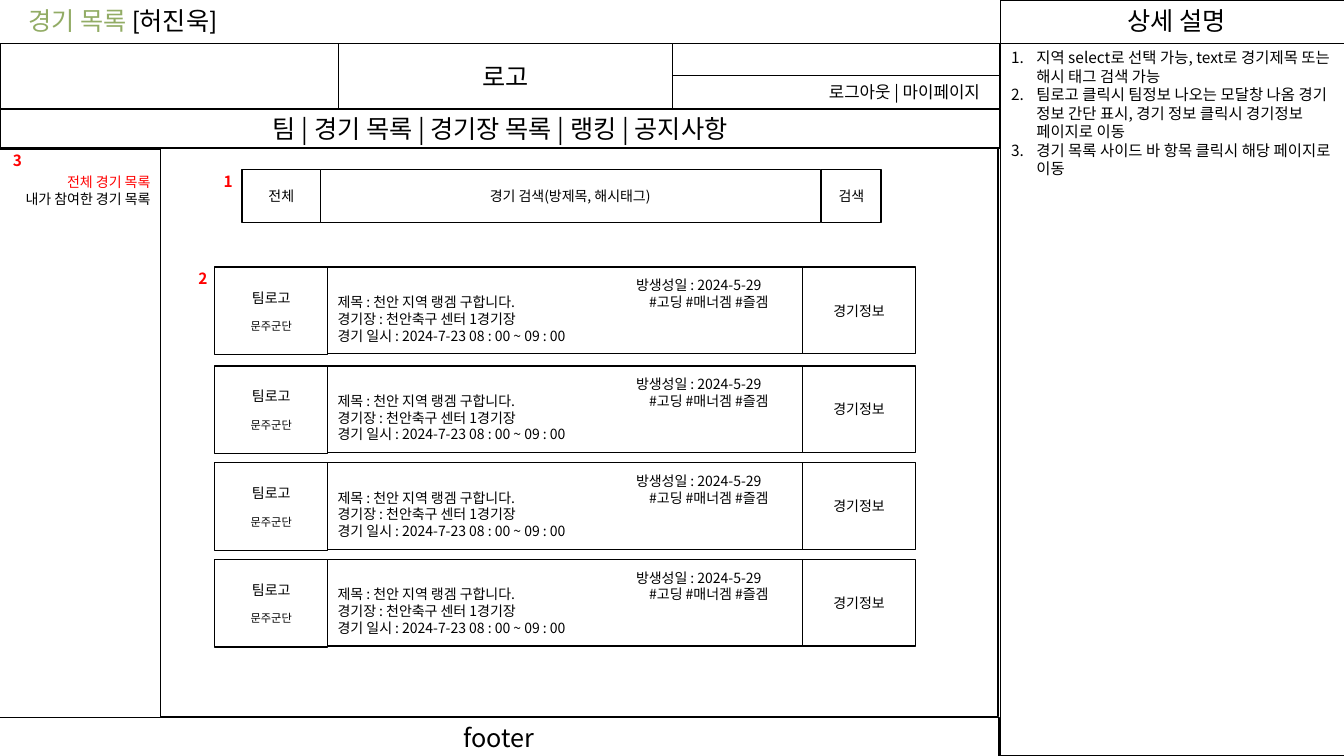
import dataclasses

import lxml.etree
import pptx
import pptx.dml.color
import pptx.enum.shapes
import pptx.enum.text
import pptx.oxml.ns
import pptx.util

Inches = pptx.util.Inches
Pt = pptx.util.Pt
ALIGN = pptx.enum.text.PP_ALIGN
ANCHOR = pptx.enum.text.MSO_ANCHOR


@dataclasses.dataclass(frozen=True)
class Theme:
    font: str = "Noto Sans CJK KR"
    name_font: str = "Lato"
    black: str = "000000"
    white: str = "FFFFFF"
    red: str = "FF0000"
    green: str = "92AC65"
    heading: int = 18
    menu: int = 12
    note: int = 11
    body: int = 10
    small: int = 8
    leading: float = 1.2
    border: int = 1


THEME = Theme()


@dataclasses.dataclass
class Line:
    """One paragraph; ending is a closing run in the name font, tab a stop in inches."""
    text: str
    size: int = THEME.body
    color: str = THEME.black
    bold: bool = False
    align: int = ALIGN.CENTER
    before: float = 0
    tab: float = 0
    numbered: bool = False
    ending: str = ""


class Wireframe:
    def __init__(self, slide, theme):
        self.slide = slide
        self.theme = theme

    def color(self, value):
        return pptx.dml.color.RGBColor.from_string(value)

    def add_run(self, paragraph, text, line, latin, color):
        run = paragraph.add_run()
        run.text = text
        values = {"name": latin, "size": Pt(line.size), "bold": line.bold}
        for name, value in values.items():
            setattr(run.font, name, value)
        run.font.color.rgb = self.color(color)
        east_asian = lxml.etree.SubElement(run.font._element, pptx.oxml.ns.qn("a:ea"))
        east_asian.set("typeface", self.theme.font)

    def add_marks(self, paragraph, line):
        """Adds the number and the tab stop of a paragraph."""
        properties = paragraph._p.get_or_add_pPr()
        qn = pptx.oxml.ns.qn
        if line.numbered:
            properties.set("marL", str(Inches(0.25)))
            properties.set("indent", str(Inches(-0.25)))
            lxml.etree.SubElement(properties, qn("a:buAutoNum"), type="arabicPeriod")
        if line.tab:
            stops = lxml.etree.SubElement(properties, qn("a:tabLst"))
            lxml.etree.SubElement(stops, qn("a:tab"), pos=str(Inches(line.tab)), algn="l")

    def fill_text(self, frame, lines, **frame_format):
        for name, value in {"word_wrap": True, **frame_format}.items():
            setattr(frame, name, value)
        for index, line in enumerate(lines):
            paragraph = frame.add_paragraph() if index else frame.paragraphs[0]
            self.add_marks(paragraph, line)
            paragraph_format = {
                "alignment": line.align,
                "line_spacing": Pt(line.size * self.theme.leading),
            }
            if line.before:
                paragraph_format["space_before"] = Pt(line.before)
            for name, value in paragraph_format.items():
                setattr(paragraph, name, value)
            self.add_run(paragraph, line.text, line, self.theme.font, line.color)
            if line.ending:
                self.add_run(paragraph, line.ending, line, self.theme.name_font, self.theme.black)

    def box(self, at, *lines, **frame_format):
        area = self.slide.shapes.add_shape(
            pptx.enum.shapes.MSO_SHAPE.RECTANGLE, *map(Inches, at))
        area.shadow.inherit = False
        area.fill.solid()
        area.fill.fore_color.rgb = self.color(self.theme.white)
        area.line.color.rgb = self.color(self.theme.black)
        area.line.width = Pt(self.theme.border)
        if lines:
            self.fill_text(area.text_frame, lines,
                           **{"vertical_anchor": ANCHOR.MIDDLE, **frame_format})

    def label(self, at, *lines, **frame_format):
        text_box = self.slide.shapes.add_textbox(*map(Inches, at))
        self.fill_text(text_box.text_frame, lines, **frame_format)

    def marker(self, left, top, number):
        self.label((left, top, 0.38, 0.29),
                   Line(number, self.theme.note, self.theme.red, True, ALIGN.LEFT))

    def match_row(self, top):
        """One row of the match list: team, details and info button."""
        self.box((3.25, top, 4.71, 0.86),
                 Line("\t방생성일 : 2024-5-29", align=ALIGN.LEFT, tab=2.96),
                 Line("제목 : 천안 지역 랭겜 구합니다.\t#고딩 #매너겜 #즐겜",
                      align=ALIGN.LEFT, tab=3.09),
                 Line("경기장 : 천안축구 센터 1경기장", align=ALIGN.LEFT),
                 Line("경기 일시 : 2024-7-23 08 : 00 ~ 09 : 00", align=ALIGN.LEFT))
        self.box((7.96, top, 1.12, 0.86), Line("경기정보"))
        self.box((2.13, top, 1.12, 0.87), Line("팀로고"),
                 Line("문주군단", self.theme.small, before=9.6))


def draw_page(page):
    heading = THEME.heading
    page.box((-0.02, 1.47, 9.92, 5.64))
    page.box((0, 0.43, 9.92, 1.04))
    page.box((3.36, 0.43, 3.31, 0.65), Line("로고", heading))
    page.box((6.67, 0.75, 3.25, 0.33),
             Line("로그아웃 | 마이페이지", THEME.menu, align=ALIGN.RIGHT),
             margin_right=Inches(0.2))
    page.box((0, 1.08, 9.92, 0.39),
             Line("팀 | 경기 목록 | 경기장 목록 | 랭킹 | 공지사항", heading))
    page.box((-0.01, 7.12, 9.92, 0.39), Line("footer", heading))
    page.label((0.18, 0, 4.65, 0.4),
               Line("경기 목록 ", heading, THEME.green, align=ALIGN.LEFT, ending="[허진욱]"))
    page.box((-0.01, 1.48, 1.6, 5.64),
             Line("전체 경기 목록", color=THEME.red, align=ALIGN.RIGHT),
             Line("내가 참여한 경기 목록", align=ALIGN.RIGHT),
             vertical_anchor=ANCHOR.TOP, margin_top=Inches(0.24))

    search_bar = [(3.17, 4.97, "경기 검색(방제목, 해시태그)"),
                  (2.4, 0.78, "전체"), (8.15, 0.59, "검색")]
    for left, width, caption in search_bar:
        page.box((left, 1.68, width, 0.53), Line(caption))
    for top in (2.65, 3.63, 4.59, 5.55):
        page.match_row(top)
    for marker in ((2.12, 1.66, "1"), (1.87, 2.62, "2"), (0.03, 1.45, "3")):
        page.marker(*marker)


def draw_description(page):
    page.box((9.92, 0.43, 3.42, 7.07))
    page.box((9.92, 0, 3.42, 0.43))
    page.label((11.08, 0, 1.3, 0.4), Line("상세 설명", THEME.heading, align=ALIGN.LEFT),
               word_wrap=False)
    notes = [
        "지역 select로 선택 가능, text로 경기제목 또는 해시 태그 검색 가능",
        "팀로고 클릭시 팀정보 나오는 모달창 나옴 경기 정보 간단 표시, "
        "경기 정보 클릭시 경기정보 페이지로 이동",
        "경기 목록 사이드 바 항목 클릭시 해당 페이지로 이동",
    ]
    page.label((9.93, 0.43, 3.38, 1.4),
               *[Line(note, THEME.note, align=ALIGN.LEFT, numbered=True) for note in notes])


def main():
    deck = pptx.Presentation()
    deck.slide_width, deck.slide_height = Inches(13.33), Inches(7.5)
    page = Wireframe(deck.slides.add_slide(deck.slide_layouts[6]), THEME)
    draw_description(page)
    draw_page(page)
    deck.save("out.pptx")


if __name__ == "__main__":
    main()
